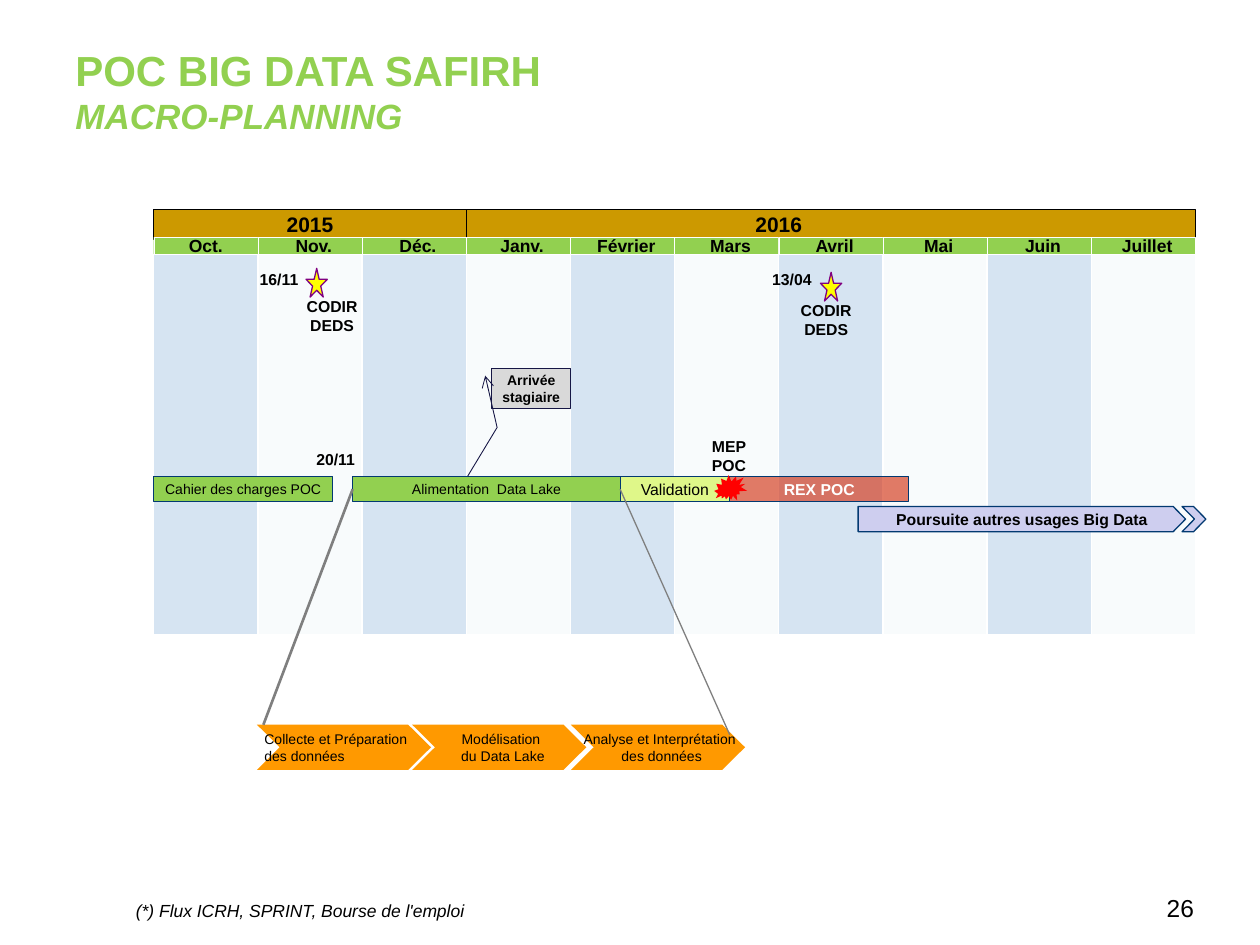
from dataclasses import dataclass
from typing import NamedTuple, Optional

from lxml import etree
from pptx import Presentation
from pptx import util as u
from pptx.dml.color import RGBColor
from pptx.enum import shapes, text
from pptx.oxml import ns

BLACK = RGBColor(0x00, 0x00, 0x00)
WHITE = RGBColor(0xFF, 0xFF, 0xFF)
GREEN = RGBColor(0x92, 0xD0, 0x50)
GOLD = RGBColor(0xCC, 0x99, 0x00)
LIGHT_BLUE = RGBColor(0xD6, 0xE4, 0xF2)
PALE = RGBColor(0xF8, 0xFB, 0xFC)
NAVY = RGBColor(0x02, 0x39, 0x71)
DARK_NAVY = RGBColor(0x16, 0x16, 0x45)
LIME = RGBColor(0xDF, 0xF7, 0x89)
BRICK = RGBColor(0xD5, 0x3D, 0x20)
LAVENDER = RGBColor(0xCE, 0xCE, 0xEF)
ORANGE = RGBColor(0xFF, 0x99, 0x00)
YELLOW = RGBColor(0xFF, 0xFF, 0x00)
PURPLE = RGBColor(0x80, 0x00, 0x80)
RED = RGBColor(0xFF, 0x00, 0x00)
SILVER = RGBColor(0xD9, 0xD9, 0xD9)
GREY = RGBColor(0x7F, 0x7F, 0x7F)

MONTHS = ("Oct.", "Nov.", "Déc.", "Janv.", "Février",
          "Mars", "Avril", "Mai", "Juin", "Juillet")
GRID_LEFT, MONTH_WIDTH = 3.1, 2.1
BAR_TOP, BAR_HEIGHT = 9.6, 0.51

Kind = shapes.MSO_SHAPE
CENTER, LEFT = text.PP_ALIGN.CENTER, text.PP_ALIGN.LEFT
MIDDLE, TOP = text.MSO_ANCHOR.MIDDLE, text.MSO_ANCHOR.TOP


class Box(NamedTuple):
    left: float
    top: float
    width: float
    height: float

    def lengths(self) -> list:
        return [u.Cm(value) for value in self]


@dataclass
class Paint:
    fill: Optional[RGBColor] = None
    line: Optional[RGBColor] = None
    weight: float = 0.75


@dataclass
class Label:
    """Text with its format; \\v breaks a line and \\n starts a paragraph."""
    text: str
    size: float = 9
    bold: bool = False
    italic: bool = False
    color: RGBColor = BLACK
    align: text.PP_ALIGN = CENTER
    anchor: text.MSO_ANCHOR = MIDDLE
    insets: tuple = (0, 0.13, 0, 0.13)
    wrap: bool = True


class Bar(NamedTuple):
    left: float
    width: float
    fill: RGBColor
    label: Label


WIDE_INSETS = (0.25, 0.13, 0.25, 0.13)
DATE_INSETS = (0.05,) * 4


def set_all(target, values: dict) -> None:
    for name, value in values.items():
        setattr(target, name, value)


def paint(shape, look: Paint) -> None:
    shape.shadow.inherit = False
    if look.fill is None:
        shape.fill.background()
    else:
        shape.fill.solid()
        shape.fill.fore_color.rgb = look.fill
    if look.line is None:
        shape.line.fill.background()
    else:
        shape.line.color.rgb = look.line
        shape.line.width = u.Pt(look.weight)


def write(shape, label: Label) -> None:
    frame = shape.text_frame
    left, top, right, bottom = (u.Cm(inset) for inset in label.insets)
    set_all(frame, {"margin_left": left, "margin_top": top, "margin_right": right,
                    "margin_bottom": bottom, "word_wrap": label.wrap,
                    "vertical_anchor": label.anchor, "text": label.text})
    for paragraph in frame.paragraphs:
        paragraph.alignment = label.align
        for run in paragraph.runs:
            set_all(run.font, {"name": "Arial", "size": u.Pt(label.size),
                               "bold": label.bold, "italic": label.italic})
            run.font.color.rgb = label.color


def add_figure(slide, kind, box: Box, look: Paint, label: Optional[Label] = None):
    shape = slide.shapes.add_shape(kind, *box.lengths())
    paint(shape, look)
    if label:
        write(shape, label)
    return shape


def add_text(slide, box: Box, label: Label):
    shape = slide.shapes.add_textbox(*box.lengths())
    write(shape, label)
    return shape


def add_arrow(slide, box: Box, tip: float, notch: float, look: Paint,
              label: Optional[Label] = None) -> None:
    """Block arrow whose text area is the whole box."""
    left, top, right, bottom = box.left, box.top, box.left + box.width, box.top + box.height
    middle = (top + bottom) / 2
    points = [(right - tip, top), (right, middle), (right - tip, bottom), (left, bottom)]
    if notch:
        points.append((left + notch, middle))
    builder = slide.shapes.build_freeform(u.Cm(left), u.Cm(top))
    builder.add_line_segments([(u.Cm(x), u.Cm(y)) for x, y in points], close=True)
    shape = builder.convert_to_shape()
    paint(shape, look)
    if label:
        write(shape, label)


def add_line(slide, start: tuple, end: tuple, weight: float) -> None:
    line = slide.shapes.add_connector(shapes.MSO_CONNECTOR.STRAIGHT,
                                      *(u.Cm(value) for value in start + end))
    line.line.color.rgb = GREY
    line.line.width = u.Pt(weight)
    etree.SubElement(line._element.spPr, ns.qn("a:effectLst"))


def add_calendar(slide) -> None:
    for year, first, count in (("2016", 2, 8), ("2015", 0, 3)):
        box = Box(GRID_LEFT + first * MONTH_WIDTH, 4.22, count * MONTH_WIDTH, 0.6)
        add_figure(slide, Kind.RECTANGLE, box, Paint(GOLD, BLACK),
                   Label(year, 12, bold=True, insets=WIDE_INSETS, wrap=False))
    for index, month in enumerate(MONTHS):
        left = GRID_LEFT + index * MONTH_WIDTH
        insets = (0.25 if index else 0.1, 0.13, 0.1, 0.13)
        add_figure(slide, Kind.RECTANGLE, Box(left, 4.78, MONTH_WIDTH, 0.36),
                   Paint(GREEN, WHITE, 0.25),
                   Label(month, 10, bold=True, insets=insets, wrap=False))
        add_figure(slide, Kind.RECTANGLE, Box(left, 5.13, MONTH_WIDTH, 7.67),
                   Paint(PALE if index % 2 else LIGHT_BLUE, WHITE))


def add_milestones(slide) -> None:
    for left, top in ((6.17, 5.41), (16.54, 5.49)):
        add_figure(slide, Kind.STAR_5_POINT, Box(left, top, 0.43, 0.58), Paint(YELLOW, PURPLE))
    for date, left, top in (("16/11", 4.75, 5.38), ("13/04", 15.09, 5.38), ("20/11", 5.89, 9.02)):
        add_text(slide, Box(left, top, 1.75, 0.48),
                 Label(date, bold=True, anchor=TOP, insets=DATE_INSETS))
    for name, left, top, width in (("CODIR DEDS", 5.69, 5.79, 2.01),
                                   ("CODIR DEDS", 15.65, 5.87, 2.01),
                                   ("MEP POC", 14.1, 8.61, 1.19)):
        add_figure(slide, Kind.ROUNDED_RECTANGLE, Box(left, top, width, 1.14), Paint(),
                   Label(name, bold=True))


def add_tasks(slide) -> None:
    for bar in (Bar(12.5, 2.21, LIME, Label("Validation")),
                Bar(3.1, 3.61, GREEN, Label("Cahier des charges POC", 8)),
                Bar(7.11, 5.4, GREEN, Label("Alimentation  Data Lake", 8)),
                Bar(14.71, 3.61, BRICK, Label("REX POC", bold=True, color=WHITE))):
        shape = add_figure(slide, Kind.RECTANGLE, Box(bar.left, BAR_TOP, bar.width, BAR_HEIGHT),
                           Paint(bar.fill, NAVY), bar.label)
        if bar.fill == BRICK:
            color = shape._element.spPr.find(ns.qn("a:solidFill"))[0]
            etree.SubElement(color, ns.qn("a:alpha"), val="68000")
    callout = add_figure(slide, Kind.LINE_CALLOUT_2, Box(9.91, 7.42, 1.6, 0.81),
                         Paint(SILVER, DARK_NAVY, 0.5),
                         Label("Arrivée stagiaire", 8, bold=True, insets=(0.1, 0.13, 0.1, 0.13)))
    for index, value in enumerate((0.19, -0.08, 1.48, 0.07, 2.69, -0.3)):
        callout.adjustments[index] = value
    etree.SubElement(callout.line._get_or_add_ln(), ns.qn("a:headEnd"), type="arrow")
    add_arrow(slide, Box(17.3, 10.21, 6.6, BAR_HEIGHT), 0.25, 0, Paint(LAVENDER, NAVY),
              Label("Poursuite autres usages Big Data", bold=True))
    add_arrow(slide, Box(23.83, 10.21, 0.48, BAR_HEIGHT), 0.25, 0.25, Paint(LAVENDER, NAVY))
    seal = add_figure(slide, Kind.EXPLOSION2, Box(14.43, 9.53, 0.61, 0.64), Paint(RED))
    seal.rotation = 29.9


def add_data_lake_steps(slide) -> None:
    for step, left, align in (("Collecte et Préparation des données", 5.18, LEFT),
                              ("Modélisation \vdu Data Lake", 8.31, CENTER),
                              ("Analyse et Interprétation \ndes données", 11.51, CENTER)):
        add_arrow(slide, Box(left, 14.61, 3.51, 0.91), 0.46, 0.46, Paint(ORANGE),
                  Label(step, 8, align=align, insets=(0.15, 0.08, 0, 0.08)))
    add_line(slide, (7.11, 9.86), (5.31, 14.61), 1.5)
    add_line(slide, (12.5, 9.86), (14.71, 14.81), 0.75)


def main() -> None:
    presentation = Presentation()
    set_all(presentation, {"slide_width": u.Cm(25.4), "slide_height": u.Cm(19.05)})
    slide = presentation.slides.add_slide(presentation.slide_layouts[6])
    add_calendar(slide)
    title = add_text(slide, Box(1.27, 0.76, 22.86, 2.57),
                     Label("POC BIG DATA SAFIRH \vMACRO-PLANNING", 24, bold=True, color=GREEN,
                           align=LEFT, anchor=TOP, insets=WIDE_INSETS))
    set_all(title.text_frame.paragraphs[0].runs[1].font, {"size": u.Pt(20), "italic": True})
    add_milestones(slide)
    add_tasks(slide)
    add_data_lake_steps(slide)
    add_text(slide, Box(2.49, 18.01, 8.41, 0.69),
             Label("(*) Flux ICRH, SPRINT, Bourse de l'emploi", 10, italic=True,
                   align=LEFT, anchor=TOP, insets=WIDE_INSETS))
    add_text(slide, Box(23.27, 17.93, 1.42, 0.74),
             Label("26", 14, align=LEFT, insets=WIDE_INSETS))
    presentation.save("out.pptx")


if __name__ == "__main__":
    main()
